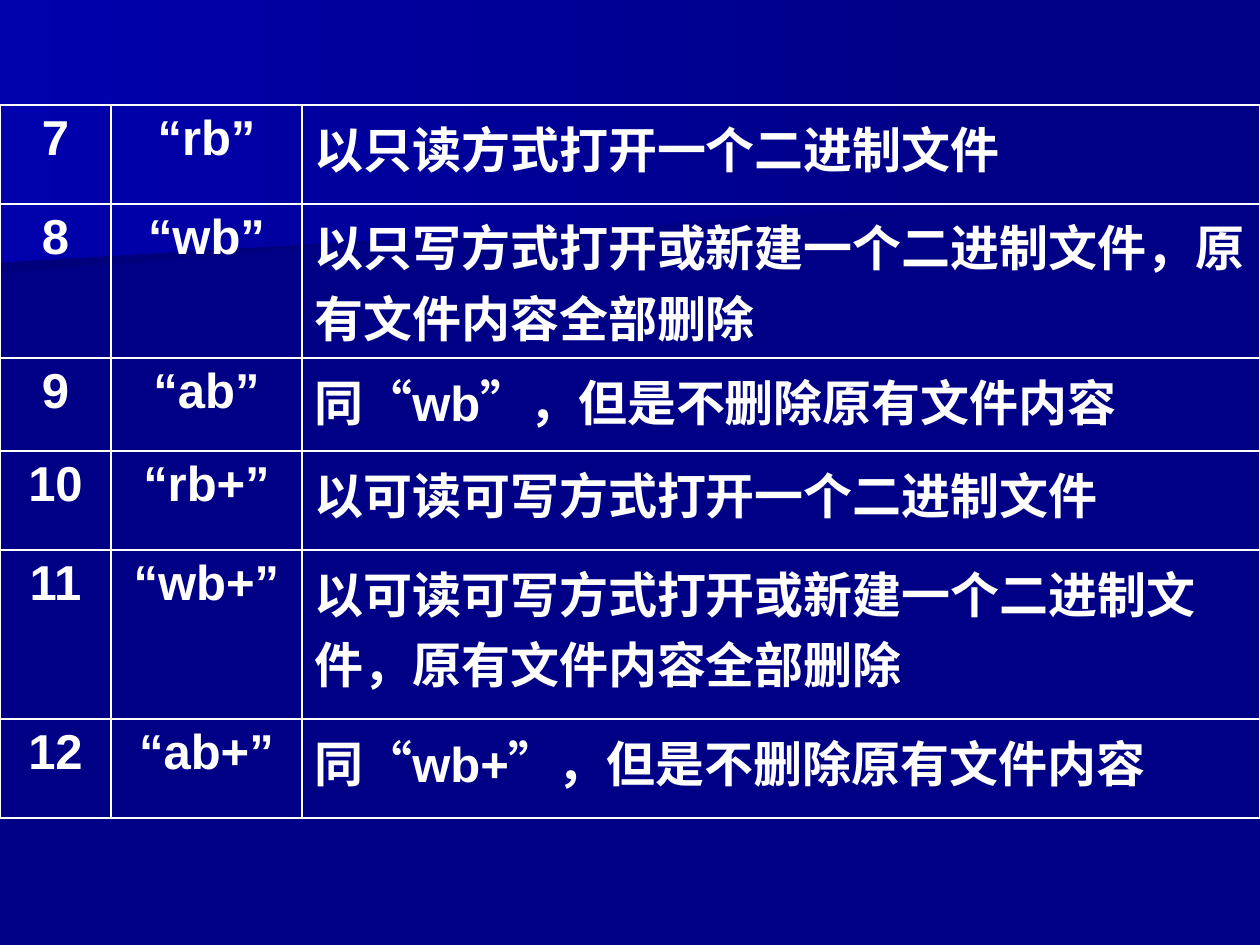
from dataclasses import dataclass

from lxml import etree
from pptx import Presentation
from pptx.dml.color import RGBColor
from pptx.enum.text import MSO_ANCHOR, PP_ALIGN
from pptx.oxml.ns import qn
from pptx.util import Emu, Pt

SCALE = 914400 / 126  # EMU per px
CENTER, LEFT, TOP = PP_ALIGN.CENTER, PP_ALIGN.LEFT, MSO_ANCHOR.TOP
COLORS = {"navy": "000086", "deep": "00007D", "glow": "0000AC", "white": "FFFFFF"}
FONT = {"name": "Arial", "size": Pt(28), "bold": True}
BORDER_PT = 1.47
ALIGNS = (CENTER, CENTER, LEFT)
COL_WIDTHS = (111, 191, 958)
TABLE_TOP = 105


@dataclass
class Band:
    points: list[tuple[int, int]]
    stops: tuple[str, str]


@dataclass
class FileMode:
    number: str
    mode: str
    meaning: str
    height: int


BANDS = [
    Band([(0, 273), (0, 127), (982, 127), (980, 193)], ("navy", "deep")),
    Band([(0, 262), (0, 0), (998, 0), (998, 204)], ("navy", "glow")),
]
MODES = [
    FileMode("7", "“rb”", "以只读方式打开一个二进制文件", 99),
    FileMode("8", "“wb”", "以只写方式打开或新建一个二进制文件，原有文件内容全部删除", 135),
    FileMode("9", "“ab”", "同“wb”，但是不删除原有文件内容", 93),
    FileMode("10", "“rb+”", "以可读可写方式打开一个二进制文件", 99),
    FileMode("11", "“wb+”", "以可读可写方式打开或新建一个二进制文件，原有文件内容全部删除", 169),
    FileMode("12", "“ab+”", "同“wb+”，但是不删除原有文件内容", 99),
]


def px(n: int) -> Emu:
    return Emu(round(n * SCALE))


def rgb(name: str) -> RGBColor:
    return RGBColor.from_string(COLORS[name])


def draw_band(s, band: Band) -> None:
    fb = s.shapes.build_freeform(*band.points[0], scale=SCALE)
    fb.add_line_segments(band.points[1:], close=True)
    sp = fb.convert_to_shape()
    sp.shadow.inherit = False
    sp.line.fill.background()
    sp.fill.gradient()
    sp.fill.gradient_angle = 180
    for stop, color, pos in zip(sp.fill.gradient_stops, band.stops, (0, 1)):
        stop.color.rgb = rgb(color)
        stop.position = pos


def add_borders(cell) -> None:
    tc_pr = cell._tc.get_or_add_tcPr()
    for i, side in enumerate(("lnL", "lnR", "lnT", "lnB")):
        ln = etree.Element(qn(f"a:{side}"), w=str(Pt(BORDER_PT)))
        fill = etree.SubElement(ln, qn("a:solidFill"))
        etree.SubElement(fill, qn("a:srgbClr"), val=COLORS["white"])
        tc_pr.insert(i, ln)


def fill_cell(cell, text: str, align: PP_ALIGN) -> None:
    cell.fill.background()
    cell.vertical_anchor = TOP
    add_borders(cell)
    p = cell.text_frame.paragraphs[0]
    p.alignment = align
    # Keep punctuation inside the cell at a line end
    p._p.get_or_add_pPr().set("hangingPunct", "0")
    r = p.add_run()
    r.text = text
    for key, value in FONT.items():
        setattr(r.font, key, value)
    r.font.color.rgb = rgb("white")
    r._r.get_or_add_rPr().set("lang", "zh-CN")


def draw_table(s, modes: list[FileMode]) -> None:
    height = sum(m.height for m in modes)
    table = s.shapes.add_table(len(modes), len(COL_WIDTHS), 0, px(TABLE_TOP),
                               px(sum(COL_WIDTHS)), px(height)).table
    table.first_row = table.horz_banding = False
    for col, width in zip(table.columns, COL_WIDTHS):
        col.width = px(width)
    for row, m in zip(table.rows, modes):
        row.height = px(m.height)
        for cell, text, align in zip(row.cells, (m.number, m.mode, m.meaning), ALIGNS):
            fill_cell(cell, text, align)


def main() -> None:
    prs = Presentation()
    prs.slide_width, prs.slide_height = px(1260), px(945)
    s = prs.slides.add_slide(prs.slide_layouts[6])
    # Background with two gradient bands
    s.background.fill.solid()
    s.background.fill.fore_color.rgb = rgb("navy")
    for band in BANDS:
        draw_band(s, band)
    # File modes
    draw_table(s, MODES)
    prs.save("out.pptx")


if __name__ == "__main__":
    main()
